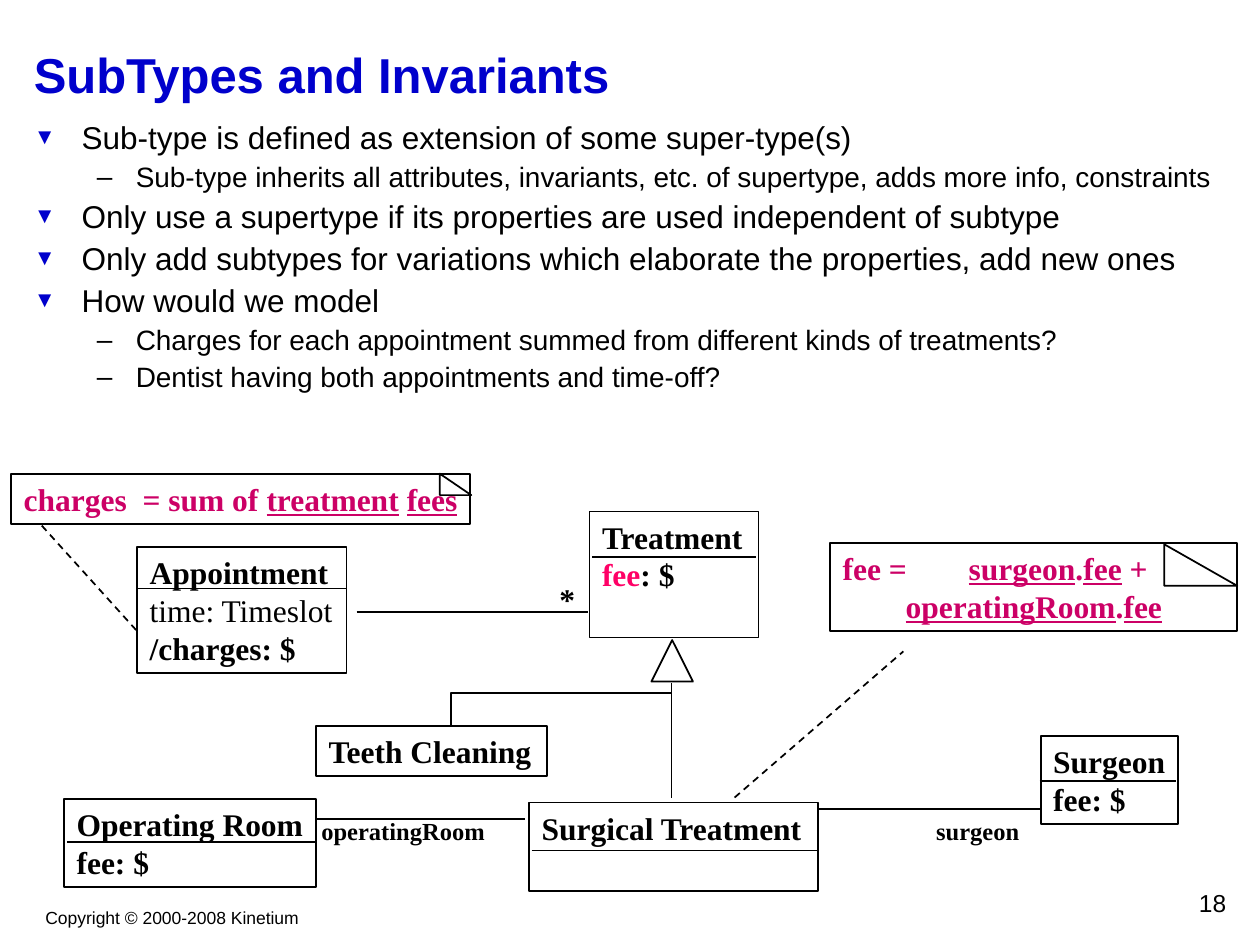
from lxml.etree import SubElement
from pptx import Presentation
from pptx.dml.color import RGBColor
from pptx.enum.dml import MSO_LINE
from pptx.enum.shapes import MSO_CONNECTOR, MSO_SHAPE
from pptx.enum.text import MSO_ANCHOR, PP_ALIGN
from pptx.oxml.ns import qn
from pptx.util import Inches, Pt

COLORS = {"black": "000000", "blue": "0000CC", "magenta": "CC0066", "pink": "FF0066"}
SERIF = "Times New Roman"

presentation = Presentation()
presentation.slide_width, presentation.slide_height = Inches(10), Inches(7.5)
slide = presentation.slides.add_slide(presentation.slide_layouts[6])


def add_text(box, paragraphs, size=18, font="Arial", color="black", bold=False,
             align=PP_ALIGN.LEFT, anchor=MSO_ANCHOR.TOP, wrap=False, outlined=False):
    """Add text at box; a paragraph is a string or a list of (text, run format) pairs."""
    position = [Inches(length) for length in box]
    if outlined:
        shape = slide.shapes.add_shape(MSO_SHAPE.RECTANGLE, *position)
        style_outline(shape)
    else:
        shape = slide.shapes.add_textbox(*position)
    frame = shape.text_frame
    frame.word_wrap = wrap
    frame.vertical_anchor = anchor
    for index, content in enumerate(paragraphs):
        paragraph = frame.add_paragraph() if index else frame.paragraphs[0]
        paragraph.alignment = align
        for text, run_format in [(content, {})] if isinstance(content, str) else content:
            run = paragraph.add_run()
            run.text = text
            run.font.name = font
            run.font.size = Pt(run_format.get("size", size))
            run.font.bold = run_format.get("bold", bold)
            run.font.underline = run_format.get("underline", False)
            run.font.color.rgb = RGBColor.from_string(COLORS[run_format.get("color", color)])
    return shape


def style_outline(shape):
    """Give a shape or connector a thin black line, no fill and no shadow."""
    if hasattr(shape, "fill"):
        shape.fill.background()
        shape.shadow.inherit = False
    else:
        SubElement(shape.line._get_or_add_ln().getparent(), qn("a:effectLst"))
    shape.line.color.rgb = RGBColor.from_string(COLORS["black"])
    shape.line.width = Pt(1)


# Title, footer and page number
add_text((0.17, 0.17, 9.67, 0.83), ["SubTypes and Invariants"], size=28, color="blue",
         bold=True, anchor=MSO_ANCHOR.MIDDLE, wrap=True)
add_text((0.26, 7.15, 2.21, 0.27), ["Copyright © 2000-2008 Kinetium"], size=10,
         align=PP_ALIGN.CENTER)
add_text((7.75, 7, 2.08, 0.33), ["18"], size=14, align=PP_ALIGN.RIGHT, wrap=True)

# Bulleted outline: (level, text)
outline = [
    (0, "Sub-type is defined as extension of some super-type(s)"),
    (1, "Sub-type inherits all attributes, invariants, etc. of supertype, "
        "adds more info, constraints"),
    (0, "Only use a supertype if its properties are used independent of subtype"),
    (0, "Only add subtypes for variations which elaborate the properties, add new ones"),
    (0, "How would we model"),
    (1, "Charges for each appointment summed from different kinds of treatments?"),
    (1, "Dentist having both appointments and time-off?"),
]
# Per level: text size, left margin, indent, space before, bullet, bullet colour, bullet percent
levels = [
    (18, 0.38, -0.38, 4.5, "▼", "blue", 70),
    (16, 0.81, -0.31, 4, "–", "black", 100),
]
body = add_text((0.17, 0.92, 9.67, 2.42),
                [[(text, {"size": levels[level][0]})] for level, text in outline], wrap=True)
for index, (level, text) in enumerate(outline):
    size, margin, indent, space, bullet, bullet_color, percent = levels[level]
    paragraph = body.text_frame.paragraphs[index]
    paragraph.level = level
    paragraph.line_spacing = 0.9
    if index:
        paragraph.space_before = Pt(space)
    properties = paragraph._p.get_or_add_pPr()
    properties.set("marL", str(Inches(margin)))
    properties.set("indent", str(Inches(indent)))
    SubElement(SubElement(properties, qn("a:buClr")), qn("a:srgbClr"), val=COLORS[bullet_color])
    SubElement(properties, qn("a:buSzPct"), val=str(percent * 1000))
    SubElement(properties, qn("a:buFont"), typeface="Arial")
    SubElement(properties, qn("a:buChar"), char=bullet)

# Class boxes
plain, underlined, pink = {"bold": False}, {"underline": True}, {"color": "pink"}
classes = [
    ((4.2, 6.37, 2.29, 0.7), ["Surgical Treatment"]),
    ((4.68, 4.06, 1.34, 1), ["Treatment", [("fee", pink), (": $", {})]]),
    ((1.09, 4.34, 1.66, 1), ["Appointment", [("time: Timeslot", plain)], "/charges: $"]),
    ((2.51, 5.76, 1.83, 0.4), ["Teeth Cleaning"]),
    ((0.51, 6.34, 2, 0.7), ["Operating Room", "fee: $"]),
    ((8.26, 5.84, 1.09, 0.7), ["Surgeon", "fee: $"]),
]
for box, paragraphs in classes:
    add_text(box, paragraphs, font=SERIF, bold=True, outlined=True)

# Invariant notes
notes = [
    ((0.09, 3.76, 3.64, 0.4),
     [[("charges  = sum of ", {}), ("treatment", underlined), (" ", {}), ("fees", underlined)]]),
    ((6.59, 4.31, 3.23, 0.7),
     [[("fee = \t", {}), ("surgeon", underlined), (".", {}), ("fee", underlined), (" +", {})],
      [("\t", {}), ("operatingRoom", underlined), (".", {}), ("fee", underlined)]]),
]
for box, paragraphs in notes:
    add_text(box, paragraphs, font=SERIF, color="magenta", bold=True, outlined=True)

# Association labels
labels = [
    ((4.34, 4.55, 0.32, 0.4), "*", 18),
    ((2.45, 6.42, 1.5, 0.34), "operatingRoom", 14),
    ((7.33, 6.42, 0.86, 0.34), "surgeon", 14),
]
for box, label, size in labels:
    add_text(box, [label], size=size, font=SERIF, bold=True, align=PP_ALIGN.CENTER,
             anchor=MSO_ANCHOR.MIDDLE)

# Straight lines: (x1, y1, x2, y2)
name_dividers = [
    (4.22, 6.75, 6.5, 6.75), (4.7, 4.42, 6, 4.42), (1.08, 4.67, 2.75, 4.67),
    (0.53, 6.68, 2.5, 6.68), (8.25, 6.2, 9.33, 6.2),
]
associations = [
    (5.33, 5.42, 5.33, 6.33), (2.83, 4.86, 4.67, 4.86),
    (2.5, 6.5, 4.17, 6.5), (8.25, 6.42, 6.49, 6.42),
]
note_links = [(5.83, 6.33, 7.17, 5.17), (1.08, 5, 0.33, 4.17)]
for ends in name_dividers + associations + note_links:
    connector = slide.shapes.add_connector(
        MSO_CONNECTOR.STRAIGHT, *[Inches(length) for length in ends])
    style_outline(connector)
    if ends in note_links:
        connector.line.dash_style = MSO_LINE.DASH

# Inheritance arrowhead
arrowhead = slide.shapes.add_shape(MSO_SHAPE.ISOSCELES_TRIANGLE, Inches(5.17), Inches(5.08),
                                   Inches(0.33), Inches(0.33))
style_outline(arrowhead)

# Folded note corners and the inheritance branch: (points, closed)
outlines = [
    ([(9.24, 4.32), (9.24, 4.65), (9.82, 4.65)], True),
    ([(3.49, 3.76), (3.49, 3.93), (3.74, 3.93)], True),
    ([(5.33, 5.5), (3.58, 5.5), (3.58, 5.75)], False),
]
for points, closed in outlines:
    corners = [(Inches(x), Inches(y)) for x, y in points]
    builder = slide.shapes.build_freeform(*corners[0])
    builder.add_line_segments(corners[1:], close=closed)
    style_outline(builder.convert_to_shape())

presentation.save("out.pptx")
